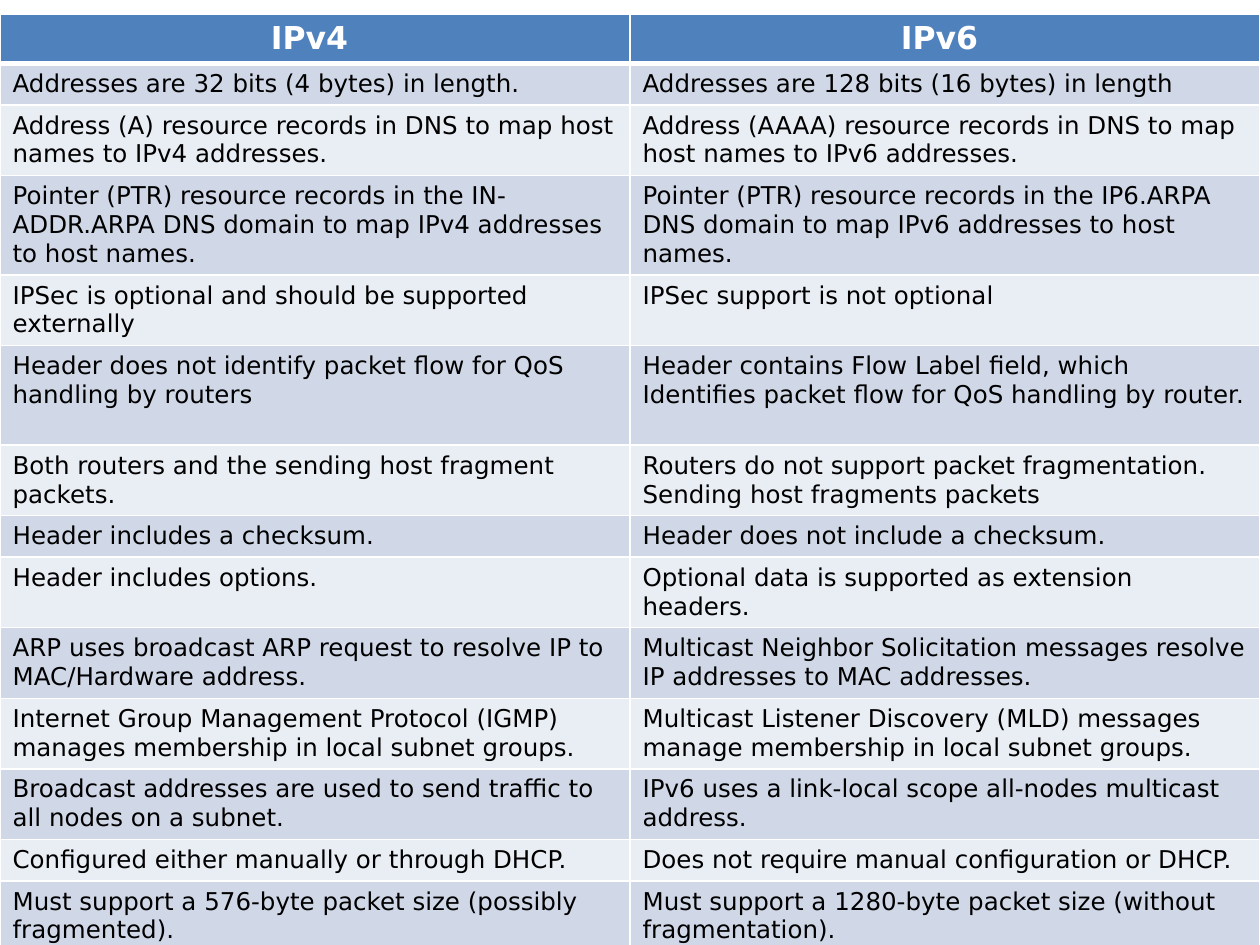
from pptx import Presentation
from pptx import util as u
from pptx.dml.color import RGBColor
from pptx.enum import text
from pptx.oxml import parse_xml
from pptx.oxml.ns import nsdecls

FONT = "DejaVu Sans"
HEADINGS = ("IPv4 ", "IPv6 ")
COMPARISON = [
    (1, "Addresses are 32 bits (4 bytes) in length.",
     "Addresses are 128 bits (16 bytes) in length"),
    (2, "Address (A) resource records in DNS to map host names to IPv4 addresses.",
     "Address (AAAA) resource records in DNS to map host names to IPv6 addresses."),
    (3, "Pointer (PTR) resource records in the IN-ADDR.ARPA DNS domain to map IPv4 addresses to host names.",
     "Pointer (PTR) resource records in the IP6.ARPA DNS domain to map IPv6 addresses to host names."),
    (2, "IPSec is optional and should be supported externally",
     "IPSec support is not optional"),
    (3, "Header does not identify packet flow for QoS handling by routers",
     "Header contains Flow Label field, which Identifies packet flow for QoS handling by router."),
    (2, "Both routers and the sending host fragment packets.",
     "Routers do not support packet fragmentation. Sending host fragments packets"),
    (1, "Header includes a checksum.",
     "Header does not include a checksum."),
    (2, "Header includes options.",
     "Optional data is supported as extension headers."),
    (2, "ARP uses broadcast ARP request to resolve IP to MAC/Hardware address.",
     "Multicast Neighbor Solicitation messages resolve IP addresses to MAC addresses."),
    (2, "Internet Group Management Protocol (IGMP) manages membership in local subnet groups.",
     "Multicast Listener Discovery (MLD) messages manage membership in local subnet groups."),
    (2, "Broadcast addresses are used to send traffic to all nodes on a subnet.",
     "IPv6 uses a link-local scope all-nodes multicast address."),
    (1, "Configured either manually or through DHCP.",
     "Does not require manual configuration or DHCP."),
    (2, "Must support a 576-byte packet size (possibly fragmented).",
     "Must support a 1280-byte packet size (without fragmentation)."),
]


def rgb(value):
    return RGBColor.from_string(value)


class Deck:
    header_fill, bands, border = "4F81BD", ("D0D8E8", "E9EDF4"), "FFFFFF"
    header_height, line_height, padding = 0.39, 0.23, 0.1

    def __init__(self, width, height):
        self.prs = Presentation()
        self.prs.slide_width, self.prs.slide_height = u.Inches(width), u.Inches(height)
        self.s = self.prs.slides.add_slide(self.prs.slide_layouts[6])

    def borders(self, cell, bottom):
        tcPr = cell._tc.get_or_add_tcPr()
        for i, (side, points) in enumerate(zip("LRTB", (1, 1, 1, bottom))):
            tcPr.insert(i, parse_xml(
                f'<a:ln{side} {nsdecls("a")} w="{u.Pt(points)}"><a:solidFill>'
                f'<a:srgbClr val="{self.border}"/></a:solidFill></a:ln{side}>'))

    def cell(self, cell, words, fill, size, color, header=False):
        cell.text = words
        cell.fill.solid()
        cell.fill.fore_color.rgb = rgb(fill)
        self.borders(cell, 3 if header else 1)
        p = cell.text_frame.paragraphs[0]
        p.alignment = text.PP_ALIGN.CENTER if header else text.PP_ALIGN.LEFT
        p.font.name, p.font.size, p.font.bold = FONT, u.Pt(size), header
        p.font.color.rgb = rgb(color)

    def table(self, top, headings, rows):
        heights = [self.header_height] + [
            self.padding + self.line_height * lines for lines, *_ in rows]
        tbl = self.s.shapes.add_table(
            len(heights), len(headings), 0, int(self.prs.slide_height * top),
            self.prs.slide_width, u.Inches(sum(heights))).table
        for row, height in zip(tbl.rows, heights):
            row.height = u.Inches(height)
        for c, words in enumerate(headings):
            self.cell(tbl.cell(0, c), words, self.header_fill, 18, "FFFFFF", True)
        for r, (_, *entries) in enumerate(rows):
            for c, words in enumerate(entries):
                self.cell(tbl.cell(r + 1, c), words, self.bands[r % 2], 14, "000000")


def main():
    deck = Deck(10, 7.5)
    deck.table(0.015, HEADINGS, COMPARISON)
    deck.prs.save("out.pptx")


if __name__ == "__main__":
    main()
